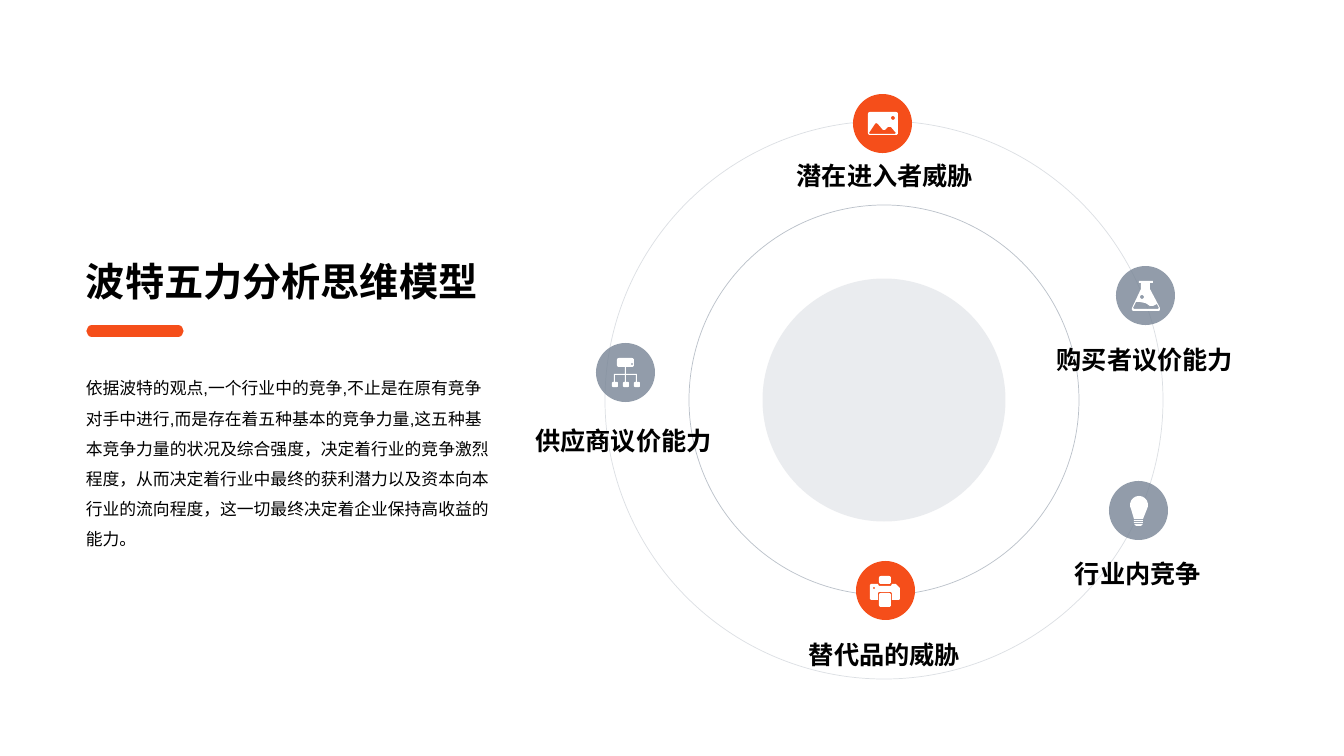
from dataclasses import dataclass
from math import cos, radians, sin

from lxml import etree
from pptx import Presentation
from pptx.dml.color import RGBColor
from pptx.enum.shapes import MSO_CONNECTOR, MSO_SHAPE
from pptx.enum.text import MSO_ANCHOR, PP_ALIGN
from pptx.oxml.ns import qn
from pptx.util import Pt

PX = 914400 / 100.8
OVAL = MSO_SHAPE.OVAL
STRAIGHT = MSO_CONNECTOR.STRAIGHT
TOP, MIDDLE, BOTTOM = MSO_ANCHOR.TOP, MSO_ANCHOR.MIDDLE, MSO_ANCHOR.BOTTOM
LEFT, CENTER = PP_ALIGN.LEFT, PP_ALIGN.CENTER


@dataclass(frozen=True)
class Theme:
    font: str = "Arial"
    text: str = "000000"
    accent: str = "F54E1A"
    slate: str = "778495"
    white: str = "FFFFFF"
    title: int = 28
    label: int = 18
    body: int = 12
    hairline: float = 0.5
    bar: int = 8


THEME = Theme()
BADGE = 59

TITLE = "波特五力分析思维模型"
BODY = (
    "依据波特的观点,一个行业中的竞争,不止是在原有竞争对手中进行,"
    "而是存在着五种基本的竞争力量,这五种基本竞争力量的状况及综合强度，"
    "决定着行业的竞争激烈程度，从而决定着行业中最终的获利潜力以及资本"
    "向本行业的流向程度，这一切最终决定着企业保持高收益的能力。"
)


def px(*values):
    return [round(v * PX) for v in values]


def arc(cx, cy, r, start, end, steps=12):
    angles = [radians(start + (end - start) * i / steps) for i in range(steps + 1)]
    return [(cx + r * cos(a), cy + r * sin(a)) for a in angles]


def rounded(x, y, w, h, r):
    corners = [(x + w - r, y + h - r), (x + r, y + h - r),
               (x + r, y + r), (x + w - r, y + r)]
    return [pt for i, (cx, cy) in enumerate(corners)
            for pt in arc(cx, cy, r, 90 * i, 90 * i + 90, 4)]


def disc(x, y, d):
    return arc(x + d / 2, y + d / 2, d / 2, 0, 360)


def bar(x, y, w, h):
    return [(x, y), (x + w, y), (x + w, y + h), (x, y + h)]


FLASK = [
    [(23, 15), (37, 15), (37, 17), (34, 17), (34, 23), (44, 42), (44, 44), (43, 45),
     (17, 45), (16, 44), (16, 42), (25, 23), (25, 17), (23, 17)],
    [(20, 36), (24, 36), (29, 37), (31, 38), (34, 40), (37, 40), (41, 38),
     (43, 42), (42, 43), (18, 43), (17, 42)],
    disc(24, 29, 4),
]
PRINTER = [
    rounded(23, 15, 12, 8, 2),
    [(15, 23), (22, 23), (23, 25), (35, 25), (36, 23), (40, 23), (44, 27), (44, 38),
     (43, 39), (36, 39), (36, 32), (35, 31), (23, 31), (22, 32), (22, 39),
     (15, 39), (14, 38), (14, 24)],
    rounded(23, 32, 12, 14, 2),
    disc(17, 26, 2),
]
TREE = [
    rounded(21, 15, 17, 9, 2),
    disc(35, 20, 2),
    [(29, 24), (30, 24), (30, 31), (41, 31), (41, 39), (40, 39), (40, 32), (30, 32),
     (30, 39), (29, 39), (29, 32), (19, 32), (19, 39), (18, 39), (18, 31), (29, 31)],
    *[rounded(x, 39, 6, 5, 1) for x in (16, 27, 38)],
]
PHOTO = [
    rounded(15, 18, 30, 23, 2),
    [(16, 39), (22, 30), (23, 29), (25, 30), (30, 36), (32, 36), (35, 33), (38, 33),
     (43, 39), (42, 40), (17, 40)],
    disc(38, 22, 4),
]
BULB = [
    arc(30, 24, 9, 150, 390) + [(34, 38), (25, 38)],
    bar(25, 39, 9, 1),
    bar(25, 41, 9, 1),
    [(25, 43), (34, 43), (32, 45), (27, 45)],
]

FORCES = [
    ("购买者议价能力", (1116, 266), FLASK, THEME.slate, 80, (-107, 61, 272, 64)),
    ("替代品的威胁", (856, 561), PRINTER, THEME.accent, 100, (-93, 62, 243, 62)),
    ("供应商议价能力", (596, 343), TREE, THEME.slate, 80, (-94, 66, 243, 62)),
    ("潜在进入者威胁", (853, 94), PHOTO, THEME.accent, 100, (-104, 61, 272, 40)),
    ("行业内竞争", (1109, 481), BULB, THEME.slate, 80, (-107, 60, 272, 64)),
]


def set_opacity(sp, percent):
    for clr in sp._element.spPr.iter(qn("a:srgbClr")):
        etree.SubElement(clr, qn("a:alpha")).set("val", str(percent * 1000))


def paint(sp, color):
    sp.shadow.inherit = False
    sp.fill.solid()
    sp.fill.fore_color.rgb = RGBColor.from_string(color)
    sp.line.fill.background()


def add_text(s, box, text, size, bold=False, align=LEFT, anchor=TOP, spacing=None):
    tf = s.shapes.add_textbox(*px(*box)).text_frame
    tf.word_wrap = True
    tf.vertical_anchor = anchor
    p = tf.paragraphs[0]
    p.text = text
    p.alignment = align
    if spacing:
        p.line_spacing = spacing
    p.font.name = THEME.font
    p.font.size = Pt(size)
    p.font.bold = bold
    p.font.color.rgb = RGBColor.from_string(THEME.text)
    props = p._p.pPr.find(qn("a:defRPr"))
    etree.SubElement(props, qn("a:ea")).set("typeface", THEME.font)


def add_icon(s, x, y, contours):
    points = [[px(x + dx, y + dy) for dx, dy in contour] for contour in contours]
    builder = s.shapes.build_freeform(*points[0][0])
    builder.add_line_segments(points[0][1:])
    for contour in points[1:]:
        builder.move_to(*contour[0])
        builder.add_line_segments(contour[1:])
    paint(builder.convert_to_shape(), THEME.white)


def add_rings(s, cx, cy):
    for d, opacity, filled in ((558, 25, False), (390, 50, False), (243, 15, True)):
        sp = s.shapes.add_shape(OVAL, *px(cx - d / 2, cy - d / 2, d, d))
        paint(sp, THEME.slate)
        if not filled:
            sp.fill.background()
            sp.line.color.rgb = RGBColor.from_string(THEME.slate)
            sp.line.width = Pt(THEME.hairline)
        set_opacity(sp, opacity)


def add_force(s, text, corner, icon, color, opacity, label):
    x, y = corner
    dx, dy, w, h = label
    sp = s.shapes.add_shape(OVAL, *px(x, y, BADGE, BADGE))
    paint(sp, color)
    if opacity < 100:
        set_opacity(sp, opacity)
    add_icon(s, x, y, icon)
    add_text(s, (x + dx, y + dy, w, h), text, THEME.label, True, CENTER, MIDDLE)


def add_summary(s, x, y):
    add_text(s, (x, y, 421, 106), TITLE, THEME.title, True, anchor=BOTTOM)
    line = s.shapes.add_connector(STRAIGHT, *px(x + 16, y + 128, x + 102, y + 128))
    line.line.color.rgb = RGBColor.from_string(THEME.accent)
    line.line.width = Pt(THEME.bar)
    line.line._ln.set("cap", "rnd")
    etree.SubElement(line._element.spPr, qn("a:effectLst"))
    add_text(s, (x, y + 160, 424, 230), BODY, THEME.body, spacing=1.5)


def main():
    prs = Presentation()
    prs.slide_width, prs.slide_height = px(1344, 756)
    s = prs.slides.add_slide(prs.slide_layouts[6])
    add_rings(s, 884, 400)
    for force in FORCES:
        add_force(s, *force)
    add_summary(s, 76, 203)
    prs.save("out.pptx")


if __name__ == "__main__":
    main()
